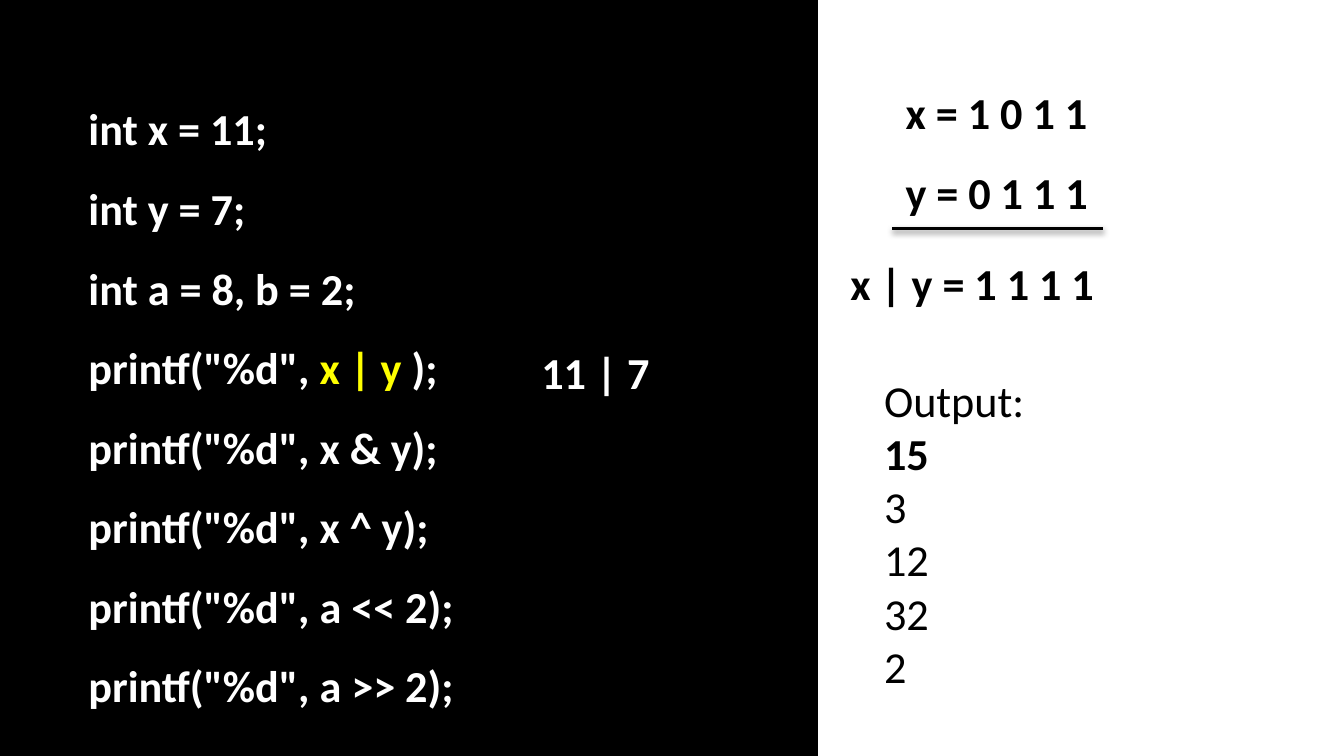
"""Build a slide that works through the bitwise OR of two integers in C."""
from lxml import etree
from pptx import Presentation
from pptx import util as u
from pptx.dml.color import RGBColor
from pptx.enum import shapes, text
from pptx.oxml.ns import qn

THEME = {
    "font": "Calibri", "size": 23.7, "rule": 2,
    "black": "000000", "white": "FFFFFF", "yellow": "FFFF00",
}
SHADOW = {"blur": 3.1, "distance": 1.6, "angle": 90, "opacity": 38}

WIDTH = 10
HEIGHT = WIDTH * 9 / 16
PANEL = (-0.02, 0, 6.09, HEIGHT)
SUM_RULE = (6.64, 1.7, 8.21, 1.7)

OUTPUT = [[("Output:", "black", False)], [("15", "black", True)]] + [
    [(value, "black", False)] for value in ("3", "12", "32", "2")]
CODE = [[(line, "white", True)] for line in (
    "int x = 11;", "int y = 7;", "int a = 8, b = 2;")]
CODE += [[('printf("%d", ', "white", True), ("x | y ", "yellow", True),
          (");", "white", True)]]
CODE += [[(f'printf("%d", {expression});', "white", True)]
         for expression in ("x & y", "x ^ y", "a << 2", "a >> 2")]
OPERANDS = [[("x = 1 0 1 1", "black", True)], [("y = 0 1 1 1", "black", True)]]
RESULT = [[("x | y = 1 1 1 1", "black", True)]]
VALUES = [[("11 | 7", "white", True)]]

TEXTS_BELOW_RULE = [
    ((6.48, 2.73, 2.63, 2.49), OUTPUT, 1),
    ((0.56, 0.51, 4.19, 4.88), CODE, 1.5),
    ((6.64, 0.39, 1.73, 1.3), OPERANDS, 1.5),
]
TEXTS_ABOVE_RULE = [
    ((6.23, 1.66, 2.06, 0.7), RESULT, 1.5),
    ((3.93, 2.32, 1.48, 0.7), VALUES, 1.5),
]


def inches(box):
    return [u.Inches(n) for n in box]


def color(name):
    return RGBColor.from_string(THEME[name])


def add_panel(s):
    sp = s.shapes.add_shape(shapes.MSO_SHAPE.RECTANGLE, *inches(PANEL))
    sp.shadow.inherit = False
    sp.fill.solid()
    sp.fill.fore_color.rgb = color("black")
    sp.line.color.rgb = color("black")
    sp.line.width = u.Pt(THEME["rule"])


def add_texts(s, texts):
    for box, lines, spacing in texts:
        tf = s.shapes.add_textbox(*inches(box)).text_frame
        tf.word_wrap = True
        tf.auto_size = text.MSO_AUTO_SIZE.SHAPE_TO_FIT_TEXT
        for i, runs in enumerate(lines):
            p = tf.add_paragraph() if i else tf.paragraphs[0]
            p.line_spacing = float(spacing)
            for words, ink, bold in runs:
                r = p.add_run()
                r.text = words
                r.font.name = THEME["font"]
                r.font.size = u.Pt(THEME["size"])
                r.font.bold = bold
                r.font.color.rgb = color(ink)


def add_sum_rule(s):
    line = s.shapes.add_connector(shapes.MSO_CONNECTOR.STRAIGHT, *inches(SUM_RULE))
    line.line.color.rgb = color("black")
    line.line.width = u.Pt(THEME["rule"])
    effects = etree.SubElement(line._element.spPr, qn("a:effectLst"))
    shadow = etree.SubElement(
        effects, qn("a:outerShdw"), blurRad=str(u.Pt(SHADOW["blur"])),
        dist=str(u.Pt(SHADOW["distance"])), dir=str(SHADOW["angle"] * 60000),
        rotWithShape="0")
    ink = etree.SubElement(shadow, qn("a:srgbClr"), val=THEME["black"])
    etree.SubElement(ink, qn("a:alpha"), val=str(SHADOW["opacity"] * 1000))


def main():
    prs = Presentation()
    prs.slide_width, prs.slide_height = inches((WIDTH, HEIGHT))
    s = prs.slides.add_slide(prs.slide_layouts[6])
    s.background.fill.solid()
    s.background.fill.fore_color.rgb = color("white")
    add_panel(s)
    add_texts(s, TEXTS_BELOW_RULE)
    add_sum_rule(s)
    add_texts(s, TEXTS_ABOVE_RULE)
    prs.save("out.pptx")


if __name__ == "__main__":
    main()
